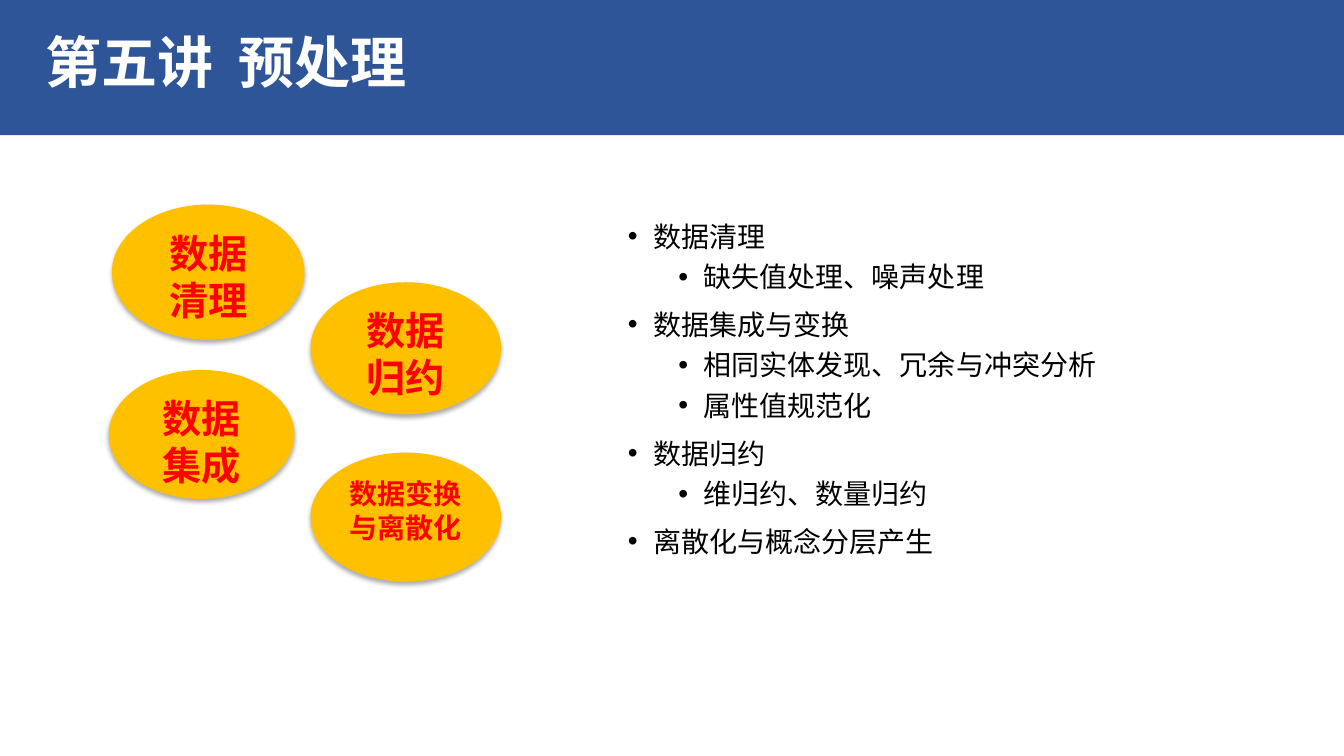
from lxml.etree import SubElement
from pptx import Presentation
from pptx.dml.color import RGBColor
from pptx.enum.shapes import MSO_SHAPE
from pptx.enum.text import MSO_ANCHOR, PP_ALIGN
from pptx.oxml.ns import qn
from pptx.util import Pt

PIXEL = 9144
SLIDE_WIDTH, SLIDE_HEIGHT = 1333, 750
FONT = "Calibri"
BLUE = RGBColor(0x2E, 0x55, 0x97)
GOLD = RGBColor(0xFF, 0xC0, 0x00)
RED = RGBColor(0xFF, 0x00, 0x00)
WHITE = RGBColor(0xFF, 0xFF, 0xFF)
BLACK = RGBColor(0x00, 0x00, 0x00)

STEPS = [
    ("数据清理", 28, (0, 0, 191, 134)),
    ("数据变换与离散化", 20, (197, 246, 189, 128)),
    ("数据归约", 28, (197, 77, 189, 131)),
    ("数据集成", 28, (-3, 164, 184, 128)),
]
TOPICS = [
    ("数据清理", ["缺失值处理、噪声处理"]),
    ("数据集成与变换", ["相同实体发现、冗余与冲突分析", "属性值规范化"]),
    ("数据归约", ["维归约、数量归约"]),
    ("离散化与概念分层产生", []),
]


def px(*lengths):
    """Turn pixel lengths into EMU."""
    return [length * PIXEL for length in lengths]


def add_run(paragraph, text, size, color, bold=False):
    """Append one styled run to a paragraph."""
    run = paragraph.add_run()
    run.text = text
    run.font.size = Pt(size)
    run.font.bold = bold
    run.font.name = FONT
    run.font.color.rgb = color
    SubElement(run.font._element, qn("a:ea"), typeface=FONT)


def add_filled_shape(slide, kind, box, color):
    """Add a shape with a plain fill, no line and no shadow."""
    shape = slide.shapes.add_shape(kind, *px(*box))
    shape.shadow.inherit = False
    shape.fill.solid()
    shape.fill.fore_color.rgb = color
    shape.line.fill.background()
    return shape


def add_text_box(slide, box):
    """Add a wrapping, vertically centred text box and return its frame."""
    frame = slide.shapes.add_textbox(*px(*box)).text_frame
    frame.word_wrap = True
    frame.vertical_anchor = MSO_ANCHOR.MIDDLE
    return frame


def add_soft_shadow(shape):
    """Give a shape a soft shadow that falls straight down."""
    effects = shape._element.spPr.find(qn("a:effectLst"))
    shadow = SubElement(
        effects, qn("a:outerShdw"), blurRad=str(Pt(3.5)), dist=str(Pt(2.2)),
        dir="5400000", rotWithShape="0")
    color = SubElement(shadow, qn("a:srgbClr"), val=str(BLACK))
    SubElement(color, qn("a:alpha"), val="32000")


def add_header(slide, left, top, width, height):
    """Draw the title band and its title."""
    add_filled_shape(slide, MSO_SHAPE.RECTANGLE, (left, top, width, height), BLUE)
    frame = add_text_box(slide, (left + 35, top + 15, width - 200, 100))
    paragraph = frame.paragraphs[0]
    paragraph.line_spacing = 0.9
    add_run(paragraph, "第五讲  预处理", 40, WHITE, bold=True)


def add_steps(slide, left, top):
    """Draw the ellipses of the preprocessing steps."""
    for label, size, (x, y, width, height) in STEPS:
        box = (left + x, top + y, width, height)
        ellipse = add_filled_shape(slide, MSO_SHAPE.OVAL, box, GOLD)
        add_soft_shadow(ellipse)
        frame = ellipse.text_frame
        frame.word_wrap = True
        frame.vertical_anchor = MSO_ANCHOR.TOP
        paragraph = frame.paragraphs[0]
        paragraph.alignment = PP_ALIGN.CENTER
        add_run(paragraph, label, size, RED, bold=True)


def add_topics(slide, left, top, width, height):
    """Write the two-level bullet list of topics."""
    frame = add_text_box(slide, (left, top, width, height))
    lines = []
    for topic, details in TOPICS:
        lines += [(topic, 0)] + [(detail, 1) for detail in details]
    for index, (text, level) in enumerate(lines):
        paragraph = frame.add_paragraph() if index else frame.paragraphs[0]
        paragraph.level = level
        paragraph.space_before = Pt(5 if level else 10)
        margin, hanging = px(75 if level else 25, -25)
        properties = paragraph._p.get_or_add_pPr()
        properties.set("marL", str(margin))
        properties.set("indent", str(hanging))
        SubElement(properties, qn("a:buFont"), typeface="Arial")
        SubElement(properties, qn("a:buChar"), char="•")
        add_run(paragraph, text, 20, BLACK)


def main():
    """Build the slide and save it."""
    presentation = Presentation()
    presentation.slide_width, presentation.slide_height = px(SLIDE_WIDTH, SLIDE_HEIGHT)
    slide = presentation.slides.add_slide(presentation.slide_layouts[6])
    add_header(slide, 0, 0, SLIDE_WIDTH, 134)
    add_steps(slide, 111, 203)
    add_topics(slide, 613, 178, 512, 415)
    presentation.save("out.pptx")


if __name__ == "__main__":
    main()
